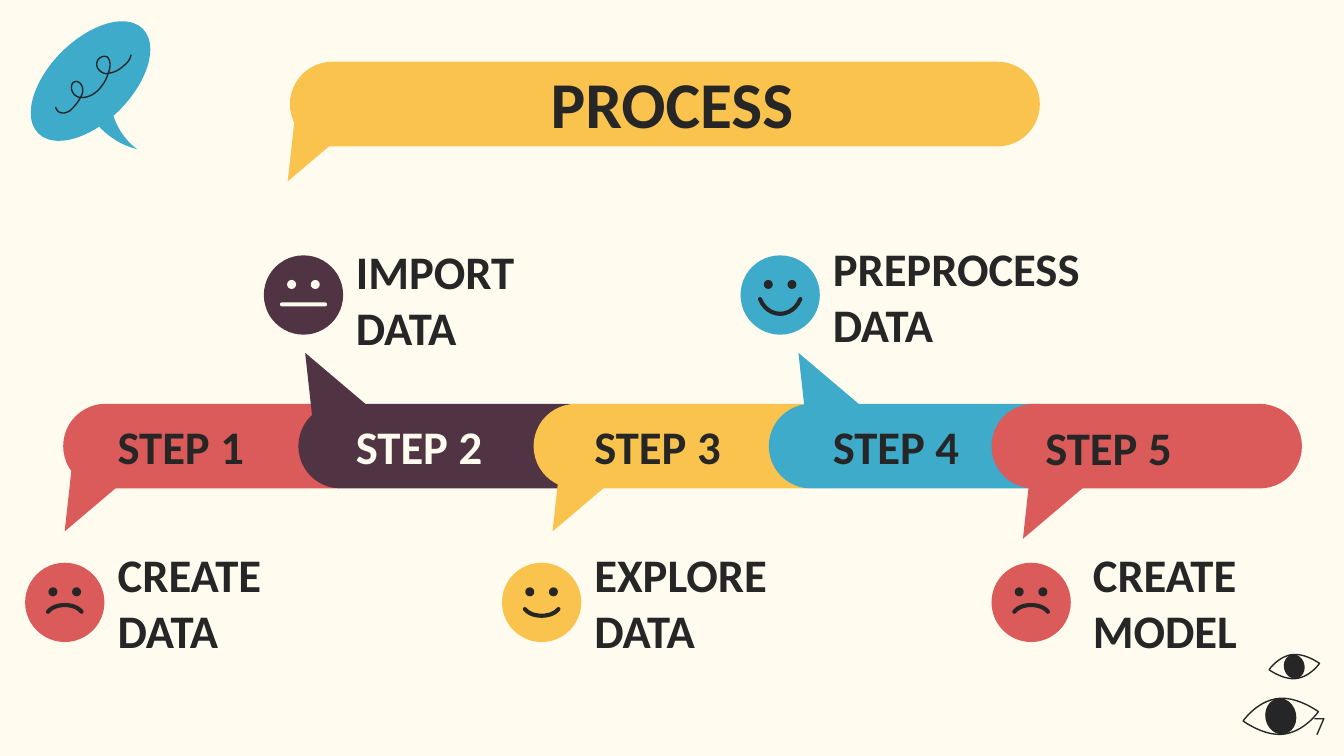
from dataclasses import dataclass

from pptx import Presentation
from pptx.dml.color import RGBColor as Rgb
from pptx.enum.shapes import MSO_SHAPE as Preset
from pptx.enum.text import MSO_ANCHOR as Anchor, MSO_AUTO_SIZE as AutoSize, PP_ALIGN as Align
from pptx.oxml.ns import qn
from pptx.util import Inches, Pt


@dataclass(frozen=True)
class Theme:
    paper: str = "FFFBEE"
    ink: str = "262626"
    red: str = "DB5A5A"
    plum: str = "503444"
    yellow: str = "FAC34D"
    blue: str = "3DABC9"
    font: str = "Calibri"
    number_font: str = "Quicksand"
    title_size: int = 35
    label_size: int = 25
    number_size: int = 13
    mouth_width: float = 2.2
    sketch_width: float = 0.75


@dataclass(frozen=True)
class Step:
    name: str
    label: str
    color: str
    mood: str
    bar: float
    tail: tuple
    name_at: tuple
    face: float
    label_box: tuple
    above: bool = False
    name_color: str = Theme.ink
    face_color: str = Theme.ink


COLUMNS, ROWS = 100, 56.25
CELL = Inches(0.1)
BAR_TOP, BAR_WIDTH, BAR_HEIGHT = 30.05, 23.1, 6.3
LABEL_WIDTH, FACE_SIZE = 17.9, 5.9

MOODS = {
    "sad": (1.25, 0.7, 0.2),
    "smile": (1.25, 0.5, 1),
    "grin": (1.5, 0.3, 1.4),
}

STEPS = [
    Step("STEP 1", "CREATE DATA", Theme.red, "sad", 4.7, (5.1, 34.25),
         (7.77, 31.85), 1.87, (7.77, 43.15, LABEL_WIDTH, 3.3)),
    Step("STEP 2", "IMPORT DATA", Theme.plum, "flat", 22.2, (23, 25.95),
         (25.5, 31.85), 19.63, (25.5, 20.6, LABEL_WIDTH, 3.3),
         True, Theme.paper, Theme.paper),
    Step("STEP 3", "EXPLORE DATA", Theme.yellow, "smile", 39.7, (41.4, 34.25),
         (43.24, 31.85), 37.35, (43.24, 43.15, LABEL_WIDTH, 3.3)),
    Step("STEP 4", "PREPROCESS DATA", Theme.blue, "grin", 57.2, (59.7, 25.95),
         (60.98, 31.85), 55.1, (60.98, 20.4, 22.4, 3.3), True),
    Step("STEP 5", "CREATE MODEL", Theme.red, "sad", 73.77, (76.4, 34.8),
         (76.8, 31.9), 73.77, (80.33, 43.15, LABEL_WIDTH, 3.3)),
]


def grid(*cells):
    return [round(cell * CELL) for cell in cells]


def add_solid(page, preset, cells, color, rotation=0):
    shape = page.shapes.add_shape(preset, *grid(*cells))
    shape.shadow.inherit = False
    shape.fill.solid()
    shape.fill.fore_color.rgb = Rgb.from_string(color)
    shape.line.fill.background()
    shape.rotation = rotation
    return shape


def add_oval(page, center, width, height, color, rotation=0):
    left, top = center[0] - width / 2, center[1] - height / 2
    return add_solid(page, Preset.OVAL, (left, top, width, height), color, rotation)


def add_bar(page, cells, color):
    add_solid(page, Preset.ROUNDED_RECTANGLE, cells, color).adjustments[0] = 0.5


def add_tail(page, corner, color, above=False):
    tail = add_solid(page, Preset.RIGHT_TRIANGLE, (*corner, 5.3, 5.6), color,
                     353.7 if above else 186.3)
    if not above:
        tail.element.spPr.find(qn("a:xfrm")).set("flipH", "1")


def trace(start, curves, samples=12):
    points = [start]
    for x1, y1, x2, y2, x3, y3 in curves:
        x0, y0 = points[-1]
        for index in range(1, samples + 1):
            t = index / samples
            s = 1 - t
            points.append((
                s**3 * x0 + 3 * s * s * t * x1 + 3 * s * t * t * x2 + t**3 * x3,
                s**3 * y0 + 3 * s * s * t * y1 + 3 * s * t * t * y2 + t**3 * y3))
    return points


def add_curve(page, points, color, width=None, close=False):
    first, *rest = [tuple(grid(*point)) for point in points]
    builder = page.shapes.build_freeform(*first)
    builder.add_line_segments(rest, close=close)
    shape = builder.convert_to_shape()
    shape.shadow.inherit = False
    paint = Rgb.from_string(color)
    if width is None:
        shape.fill.solid()
        shape.fill.fore_color.rgb = paint
        shape.line.fill.background()
    else:
        shape.fill.background()
        shape.line.color.rgb = paint
        shape.line.width = Pt(width)
        shape.element.spPr.find(qn("a:ln")).set("cap", "rnd")


def set_text(box, text, size, color=Theme.ink, font=Theme.font, bold=True,
             align=Align.LEFT, anchor=Anchor.MIDDLE):
    frame = box.text_frame
    frame.text = text
    frame.word_wrap = True
    frame.auto_size = AutoSize.NONE
    frame.vertical_anchor = anchor
    frame.margin_left = frame.margin_right = CELL
    frame.margin_top = frame.margin_bottom = CELL
    para = frame.paragraphs[0]
    para.alignment = align
    span = para.runs[0]
    span.font.name, span.font.size, span.font.bold = font, Pt(size), bold
    span.font.color.rgb = Rgb.from_string(color)


def add_text(page, cells, text, size, **style):
    set_text(page.shapes.add_textbox(*grid(*cells)), text, size, **style)


def add_mouth(page, x, y, mood, color):
    if mood == "flat":
        add_bar(page, (x - 1.75, y + 0.55, 3.5, 0.3), color)
        return
    half, ends, crest = MOODS[mood]
    bend = y + ends + (crest - ends) * 4 / 3
    mouth = trace((x - half, y + ends),
                  [(x - half * 0.6, bend, x + half * 0.6, bend, x + half, y + ends)])
    add_curve(page, mouth, color, Theme.mouth_width)


def add_face(page, left, top, step):
    x, y = left + FACE_SIZE / 2, top + FACE_SIZE / 2
    add_oval(page, (x, y), FACE_SIZE, FACE_SIZE, step.color)
    for side in (-0.88, 0.88):
        add_oval(page, (x + side, y - 0.78), 0.67, 0.67, step.face_color)
    add_mouth(page, x, y, step.mood, step.face_color)


def add_eye(page, center, scale):
    x, y = center
    lid = trace((-2.8, 0.35), [
        (-2.8, 0.35, -1.9, -1, -0.4, -1.3), (1.1, -1.6, 2.8, -0.35, 2.8, -0.35),
        (2.8, -0.35, 1.9, 1, 0.4, 1.3), (-1.1, 1.6, -2.8, 0.35, -2.8, 0.35)])
    outline = [(x + dx * scale, y + dy * scale) for dx, dy in lid]
    add_curve(page, outline, Theme.ink, Theme.sketch_width, close=True)
    add_oval(page, center, 2.3 * scale, 2.7 * scale, Theme.ink, 348.2)


def add_scribble_bubble(page):
    add_oval(page, (6.74, 6.03), 11, 6.1, Theme.blue, 315)
    tail = trace((6.3, 7.8), [(7, 9.4, 8.5, 10.7, 10.2, 11.1), (8.7, 10, 8, 8.1, 8.2, 6.3)])
    add_curve(page, tail, Theme.blue, close=True)
    scribble = trace((4.15, 8), [
        (4.3, 8.5, 4.8, 8.5, 5.2, 8.25), (5.6, 7.9, 5.8, 7.6, 6, 7.25),
        (6.2, 6.9, 6.2, 6.7, 6.1, 6.4), (5.9, 6, 5.6, 6, 5.4, 6.2),
        (5.2, 6.6, 5.4, 7.1, 5.9, 7.25), (7, 7.4, 7.8, 6.3, 8.05, 5.5),
        (8.2, 5.1, 8.3, 4.6, 8, 4.25), (7.7, 4.1, 7.2, 4.3, 7.2, 4.8),
        (7.2, 5.2, 7.7, 5.6, 8.1, 5.45), (8.6, 5.4, 9, 5.1, 9.2, 4.9),
        (9.5, 4.7, 9.7, 4.4, 9.75, 4.1)])
    add_curve(page, scribble, Theme.ink, Theme.sketch_width)


def add_title(page, text):
    add_bar(page, (21.57, 4.6, 55.8, BAR_HEIGHT), Theme.yellow)
    add_tail(page, (21.7, 8.2), Theme.yellow)
    title = page.shapes.title
    title.left, title.top, title.width, title.height = grid(7.8, 5.8, 84.4, 3.6)
    set_text(title, text, Theme.title_size, align=Align.CENTER)
    title.element.getparent().append(title.element)


def add_step(page, step):
    add_bar(page, (step.bar, BAR_TOP, BAR_WIDTH, BAR_HEIGHT), step.color)
    add_tail(page, step.tail, step.color, step.above)
    add_text(page, (*step.name_at, LABEL_WIDTH, 2.7), step.name, Theme.label_size,
             color=step.name_color)
    add_text(page, step.label_box, step.label, Theme.label_size)
    add_face(page, step.face, 19 if step.above else 41.87, step)


def main():
    deck = Presentation()
    deck.slide_width, deck.slide_height = grid(COLUMNS, ROWS)
    page = deck.slides.add_slide(deck.slide_layouts[5])
    page.background.fill.solid()
    page.background.fill.fore_color.rgb = Rgb.from_string(Theme.paper)
    add_eye(page, (95.3, 53.3), 1)
    add_eye(page, (96.3, 49.6), 0.67)
    add_scribble_bubble(page)
    add_title(page, "PROCESS")
    for step in STEPS:
        add_step(page, step)
    add_text(page, (93.6, 51.9, 6, 4.3), "7", Theme.number_size, font=Theme.number_font,
             bold=False, align=Align.RIGHT, anchor=Anchor.TOP)
    deck.save("out.pptx")


if __name__ == "__main__":
    main()
